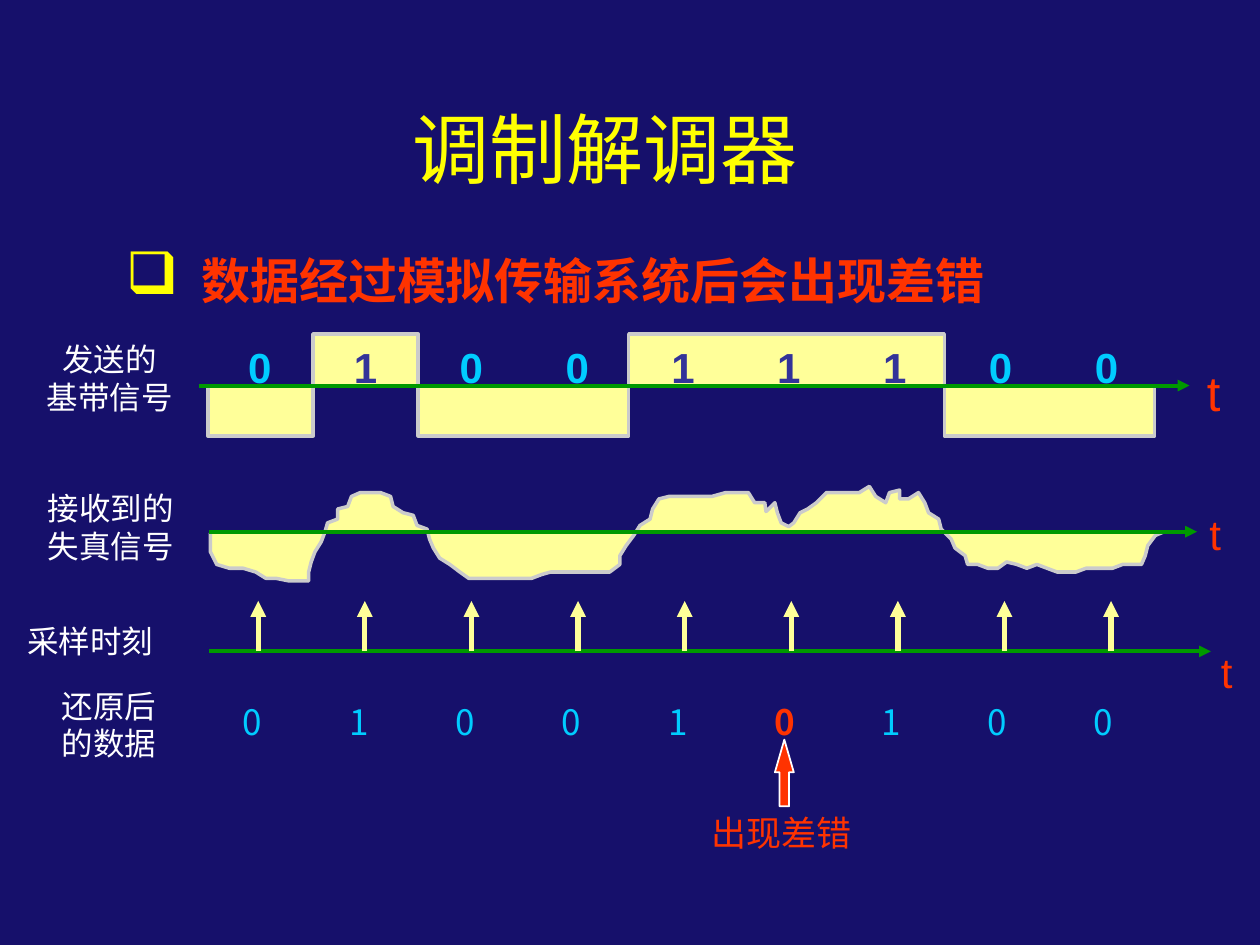
import itertools

import pptx
import pptx.dml.color
import pptx.enum.shapes
import pptx.enum.text
import pptx.oxml
import pptx.oxml.ns
import pptx.util
from pptx.util import Inches

COLORS = {
    "background": "16106B", "title": "FFFF01", "bullet": "FFFF00",
    "alert": "FF3300", "label": "FFFFFF", "zero": "00CCFF", "one": "333399",
    "signal": "FFFF99", "outline": "CBCBCB", "axis": "009900",
}
CJK = "Noto Sans CJK SC"
ALIGN = pptx.enum.text.PP_ALIGN
SENT = "010011100"
RECOVERED = "010010100"

# Distorted signal, in hundredths of an inch from the corner of its row.
DISTORTED = [
    (0, 37), (0, 52), (5, 62), (15, 65), (26, 65), (36, 68), (44, 73), (52, 73),
    (62, 75), (78, 75), (78, 68), (80, 60), (83, 52), (88, 44), (91, 36), (93, 29),
    (101, 26), (101, 18), (109, 16), (112, 8), (119, 5), (135, 5), (143, 8),
    (145, 16), (153, 21), (161, 23), (164, 31), (172, 34), (174, 42), (177, 49),
    (182, 57), (190, 62), (198, 68), (205, 73), (255, 73), (263, 70), (270, 68),
    (317, 68), (325, 62), (325, 55), (330, 47), (336, 39), (341, 31), (349, 26),
    (351, 18), (356, 10), (364, 8), (398, 8), (409, 5), (427, 5), (432, 13),
    (440, 13), (441, 20), (448, 13), (450, 21), (453, 29), (459, 32), (463, 29),
    (468, 21), (474, 18), (481, 13), (489, 5), (515, 5), (523, 0), (528, 8),
    (536, 13), (539, 5), (547, 3), (547, 10), (554, 10), (562, 5), (567, 13),
    (570, 21), (578, 26), (580, 34), (588, 42), (591, 49), (599, 55), (601, 62),
    (609, 62), (617, 65), (625, 65), (632, 60), (640, 62), (648, 65), (656, 62),
    (664, 65), (672, 68), (687, 68), (695, 65), (716, 65), (724, 62), (739, 62),
    (742, 55), (744, 47), (750, 39), (757, 36),
]


def color(name):
    return pptx.dml.color.RGBColor.from_string(COLORS[name])


def append_xml(parent, xml):
    """Append a drawing element; %s in the XML stands for its namespace."""
    parent.append(pptx.oxml.parse_xml(xml % pptx.oxml.ns.nsdecls("a")))


def add_run(para, text, size, font, ink, bold=False):
    span = para.add_run()
    span.text = text
    span.font.size = pptx.util.Pt(size)
    span.font.name = font
    span.font.bold = bold
    span.font.color.rgb = color(ink)


def add_text(page, box, lines, size, font, ink, bold=False, align=ALIGN.LEFT):
    frame = page.shapes.add_textbox(*map(Inches, box)).text_frame
    frame.word_wrap = False
    for index, line in enumerate(lines):
        para = frame.add_paragraph() if index else frame.paragraphs[0]
        para.alignment = align
        add_run(para, line, size, font, ink, bold)


def add_arrow(page, start, end, ink, width):
    arrow = page.shapes.add_connector(
        pptx.enum.shapes.MSO_CONNECTOR.STRAIGHT, *map(Inches, start + end))
    arrow.line.color.rgb = color(ink)
    arrow.line.width = pptx.util.Pt(width)
    props = arrow._element.spPr
    append_xml(props.get_or_add_ln(), '<a:tailEnd %s type="triangle"/>')
    append_xml(props, "<a:effectLst %s/>")


def add_signal(page, points):
    builder = page.shapes.build_freeform(*map(Inches, points[0]))
    builder.add_line_segments(
        [(Inches(x), Inches(y)) for x, y in points[1:]], close=False)
    signal = builder.convert_to_shape()
    signal.shadow.inherit = False
    signal.fill.solid()
    signal.fill.fore_color.rgb = color("signal")
    signal.line.color.rgb = color("outline")
    signal.line.width = pptx.util.Pt(2)


def place_title(page, box):
    title = page.shapes.title
    title.left, title.top, title.width, title.height = map(Inches, box)
    title.text_frame.vertical_anchor = pptx.enum.text.MSO_ANCHOR.MIDDLE
    para = title.text_frame.paragraphs[0]
    para.alignment = ALIGN.CENTER
    add_run(para, "调制解调器 ", 44, "Arial", "title")


def place_statement(page, box):
    frame = page.shapes.add_textbox(*map(Inches, box)).text_frame
    frame.word_wrap = True
    para = frame.paragraphs[0]
    props = para._p.get_or_add_pPr()
    props.set("marL", str(Inches(0.6)))
    props.set("indent", str(-Inches(0.6)))
    append_xml(props, '<a:buClr %s><a:srgbClr val="' + COLORS["bullet"] + '"/></a:buClr>')
    append_xml(props, '<a:buSzPct %s val="120000"/>')
    append_xml(props, '<a:buChar %s char="❑"/>')
    add_run(para, "数据经过模拟传输系统后会出现差错", 28, "Arial", "alert", True)


def place_sent_row(page, left, top):
    """Square wave of the sent bits, one cell a bit, about its time axis."""
    start, cell, high, middle, low = left + 1.38, 0.835, top, top + 0.41, top + 0.81
    points, position = [(start, middle)], 0
    for bit, run in itertools.groupby(SENT):
        level = high if bit == "1" else low
        points.append((start + position * cell, level))
        position += len(list(run))
        points.append((start + position * cell, level))
    add_signal(page, points + [(start + position * cell, middle)])
    for index, bit in enumerate(SENT):
        add_text(page, (left + 1.6 + 0.84 * index, top + 0.01, 0.38, 0.5), [bit],
                 24, "Arial", "one" if bit == "1" else "zero", True)
    add_text(page, (left + 9.21, top + 0.18, 0.31, 0.56), ["t"], 28, "Arial", "alert")
    add_text(page, (left, top, 1.2, 0.7), ["发送的", "基带信号"],
             18, CJK, "label", align=ALIGN.CENTER)
    add_arrow(page, (left + 1.31, middle), (left + 9.17, middle), "axis", 2.25)


def place_received_row(page, left, top):
    add_signal(page, [(left + 1.39 + x / 100, top + 0.03 + y / 100)
                      for x, y in DISTORTED])
    add_text(page, (left + 9.22, top + 0.16, 0.29, 0.5), ["t"], 24, "Arial", "alert")
    add_text(page, (left, top, 1.2, 0.7), ["接收到的", "失真信号"],
             18, CJK, "label", align=ALIGN.CENTER)
    add_arrow(page, (left + 1.38, top + 0.39), (left + 9.22, top + 0.39), "axis", 2.25)


def place_sampling_row(page, left, top):
    axis = top + 0.28
    add_arrow(page, (left + 1.54, axis), (left + 9.49, axis), "axis", 2.25)
    add_text(page, (left + 9.47, top + 0.19, 0.29, 0.5), ["t"], 24, "Arial", "alert")
    add_text(page, (left, top, 1.2, 0.4), ["采样时刻"], 18, CJK, "label")
    for index in range(len(SENT)):
        x = left + 1.93 + 0.846 * index
        add_arrow(page, (x, axis), (x, axis - 0.4), "signal", 3)


def place_recovered_row(page, left, top):
    add_text(page, (left, top, 0.95, 0.7), ["还原后", "的数据"],
             18, "Times New Roman", "label")
    for index, (sent, bit) in enumerate(zip(SENT, RECOVERED)):
        x, wrong = left + 1.44 + 0.844 * index, bit != sent
        add_text(page, (x, top + 0.11, 0.34, 0.43), [bit], 20, CJK,
                 "alert" if wrong else "zero", wrong)
        if wrong:
            place_error_mark(page, x - 0.5, top + 0.47)


def place_error_mark(page, left, top):
    arrow = page.shapes.add_shape(
        pptx.enum.shapes.MSO_SHAPE.UP_ARROW,
        *map(Inches, (left + 0.6, top, 0.15, 0.53)))
    arrow.adjustments[1] = 1.73
    arrow.shadow.inherit = False
    arrow.fill.solid()
    arrow.fill.fore_color.rgb = color("alert")
    arrow.line.color.rgb = color("label")
    arrow.line.width = pptx.util.Pt(1)
    add_text(page, (left, top + 0.52, 1.31, 0.43), ["出现差错"],
             20, "Times New Roman", "alert")


def main():
    deck = pptx.Presentation()
    deck.slide_width, deck.slide_height = Inches(10), Inches(7.5)
    page = deck.slides.add_slide(deck.slide_layouts.get_by_name("Title Only"))
    page.background.fill.solid()
    page.background.fill.fore_color.rgb = color("background")
    place_title(page, (2.33, 0.67, 5.08, 1))
    place_statement(page, (0.9, 1.94, 8.74, 0.79))
    place_recovered_row(page, 0.39, 5.4)
    place_received_row(page, 0.28, 3.83)
    place_sent_row(page, 0.27, 2.65)
    place_sampling_row(page, 0.12, 4.89)
    deck.save("out.pptx")


if __name__ == "__main__":
    main()
